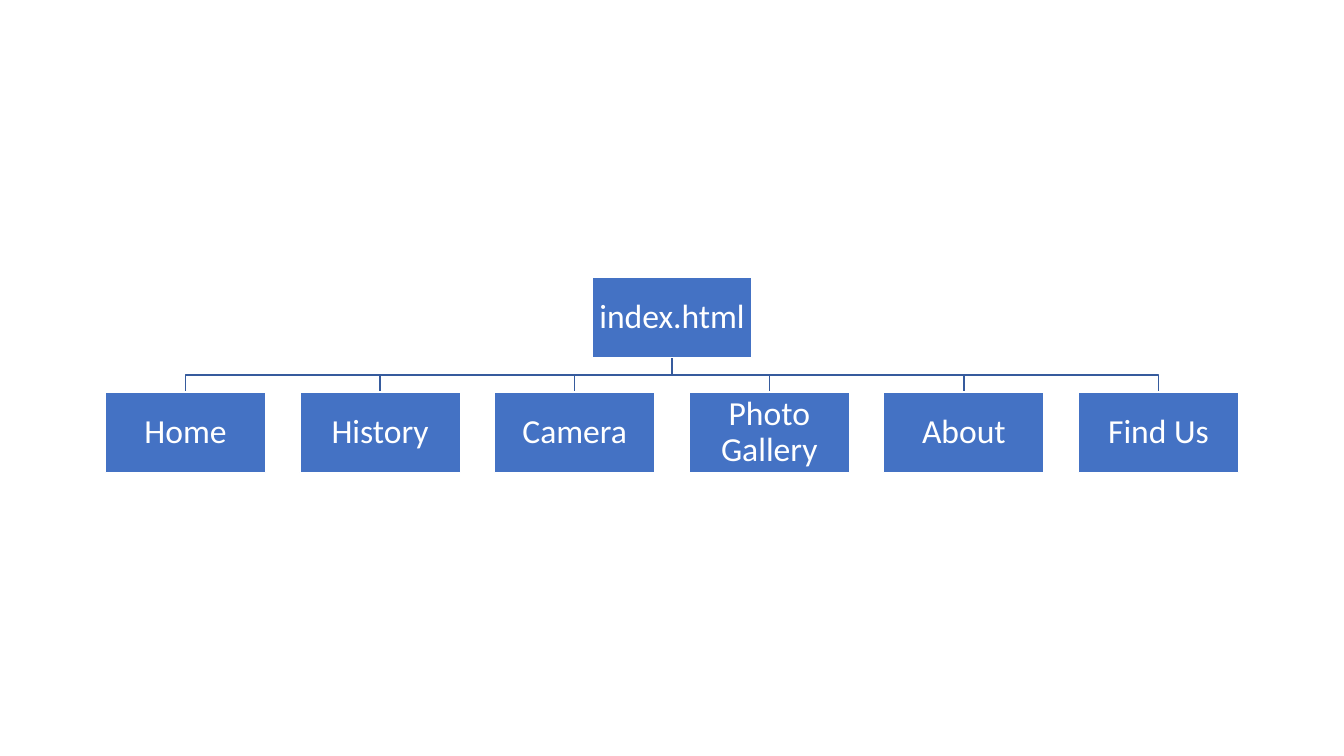
from dataclasses import dataclass

from pptx import Presentation
from pptx.dml.color import RGBColor
from pptx.enum.shapes import MSO_SHAPE
from pptx.enum.text import MSO_ANCHOR, PP_ALIGN
from pptx.slide import Slide
from pptx.util import Inches, Pt

BLUE = RGBColor(0x44, 0x72, 0xC4)
DARK_BLUE = RGBColor(0x36, 0x5B, 0x9D)
WHITE = RGBColor(0xFF, 0xFF, 0xFF)

SLIDE_WIDTH = 13.33
BOX_WIDTH = 1.59
BOX_HEIGHT = 0.8
ROOT_TOP = 2.75
CHILD_TOP = 3.89
CHILD_PITCH = 1.93
CHILD_LABELS = ["Home", "History", "Camera", "Photo Gallery", "About", "Find Us"]


@dataclass
class SitePage:
    label: str
    center: float
    top: float


def draw_branch(page: Slide, parent: SitePage, child: SitePage) -> None:
    start = parent.top + BOX_HEIGHT
    middle = (start + child.top) / 2
    builder = page.shapes.build_freeform(Inches(parent.center), Inches(start))
    corners = [(parent.center, middle), (child.center, middle), (child.center, child.top)]
    builder.add_line_segments([(Inches(x), Inches(y)) for x, y in corners], close=False)
    branch = builder.convert_to_shape()
    branch.shadow.inherit = False
    branch.fill.background()
    branch.line.color.rgb = DARK_BLUE
    branch.line.width = Pt(1)


def draw_box(page: Slide, site_page: SitePage) -> None:
    box = page.shapes.add_shape(
        MSO_SHAPE.RECTANGLE,
        Inches(site_page.center - BOX_WIDTH / 2),
        Inches(site_page.top),
        Inches(BOX_WIDTH),
        Inches(BOX_HEIGHT),
    )
    box.shadow.inherit = False
    box.fill.solid()
    box.fill.fore_color.rgb = BLUE
    box.line.color.rgb = WHITE
    box.line.width = Pt(1)

    frame = box.text_frame
    frame.text = site_page.label
    frame.word_wrap = True
    frame.vertical_anchor = MSO_ANCHOR.MIDDLE
    frame.margin_left = frame.margin_right = Inches(0.02)
    frame.margin_top = frame.margin_bottom = Inches(0.02)
    paragraph = frame.paragraphs[0]
    paragraph.alignment = PP_ALIGN.CENTER
    paragraph.line_spacing = 0.9
    span = paragraph.runs[0]
    span.font.name = "Calibri"
    span.font.size = Pt(24)
    span.font.color.rgb = WHITE


deck = Presentation()
deck.slide_width = Inches(SLIDE_WIDTH)
deck.slide_height = Inches(7.5)
page = deck.slides.add_slide(deck.slide_layouts[6])

root = SitePage("index.html", SLIDE_WIDTH / 2, ROOT_TOP)
first_center = root.center - CHILD_PITCH * (len(CHILD_LABELS) - 1) / 2
children = [
    SitePage(label, first_center + index * CHILD_PITCH, CHILD_TOP)
    for index, label in enumerate(CHILD_LABELS)
]

for child in children:
    draw_branch(page, root, child)
for site_page in [root, *children]:
    draw_box(page, site_page)

deck.save("out.pptx")
